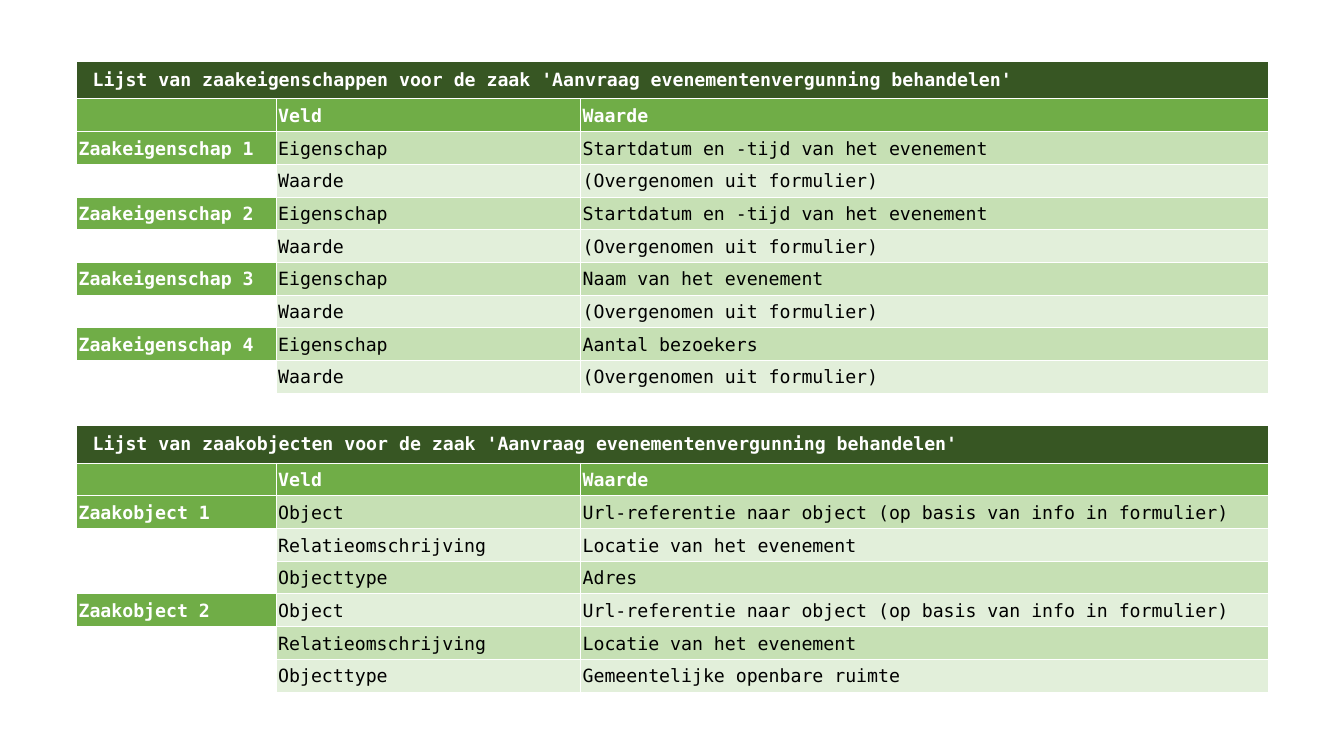
from lxml import etree
from pptx import Presentation
from pptx import util as u
from pptx.dml.color import RGBColor
from pptx.enum import text as t
from pptx.oxml import ns

FONT, SIZE = "DejaVu Sans Mono", 13
WHITE, BLACK = "FFFFFF", "000000"
DARK, GREEN = "375623", "70AD47"
BANDS = ["C6E0B4", "E2EFDA"]
COLS = [1.98, 3.02, 6.82]
LEFT, TOP, HIGH, HEAD = 0.76, 0.61, 6.26, 0.37

COPIED = "(Overgenomen uit formulier)"
CASE = "voor de zaak 'Aanvraag evenementenvergunning behandelen'"
START = "Startdatum en -tijd van het evenement"
FACTS = [START, START, "Naam van het evenement", "Aantal bezoekers"]
URL = "Url-referentie naar object (op basis van info in formulier)"
TYPES = ["Adres", "Gemeentelijke openbare ruimte"]

# Each list: title, label of its items, and the fields of every item
LISTS = [
    (f"Lijst van zaakeigenschappen {CASE}", "Zaakeigenschap",
     [[("Eigenschap", fact), ("Waarde", COPIED)] for fact in FACTS]),
    (f"Lijst van zaakobjecten {CASE}", "Zaakobject",
     [[("Object", URL),
       ("Relatieomschrijving", "Locatie van het evenement"),
       ("Objecttype", kind)] for kind in TYPES]),
]


def color(code):
    return RGBColor.from_string(code)


def add_edges(cell):
    """Give a cell thin white borders."""
    props = cell._tc.get_or_add_tcPr()
    for side in ("L", "R", "T", "B"):
        line = etree.SubElement(props, ns.qn(f"a:ln{side}"), w=str(u.Pt(0.5)))
        fill = etree.SubElement(line, ns.qn("a:solidFill"))
        etree.SubElement(fill, ns.qn("a:srgbClr"), val=WHITE)


def set_cell(cell, words="", fill=None, ink=WHITE, pads=(0.02, 0.02, 0.02, 0)):
    add_edges(cell)
    if fill:
        cell.fill.solid()
        cell.fill.fore_color.rgb = color(fill)
    else:
        cell.fill.background()
    cell.vertical_anchor = t.MSO_ANCHOR.MIDDLE
    (cell.margin_left, cell.margin_top,
     cell.margin_right, cell.margin_bottom) = map(u.Inches, pads)
    para = cell.text_frame.paragraphs[0]
    para.text = words
    for run in para.runs:
        font = run.font
        font.name, font.size = FONT, u.Pt(SIZE)
        font.bold = ink == WHITE
        font.color.rgb = color(ink)
    # Keep empty cells from stretching their row
    para._p.get_or_add_endParaRPr().set("sz", str(SIZE * 100))


def set_title(table, row, words):
    first = table.cell(row, 0)
    first.merge(table.cell(row, len(COLS) - 1))
    set_cell(first, words, DARK, pads=(0.16, 0.08, 0.16, 0.08))
    table.rows[row].height = u.Inches(HEAD)


def set_row(table, row, words, fills, inks):
    for col, look in enumerate(zip(words, fills, inks)):
        set_cell(table.cell(row, col), *look)


def fill_list(table, row, title, label, items):
    """Write one list from the given row on; return the next free row."""
    set_title(table, row, title)
    set_row(table, row + 1, ["", "Veld", "Waarde"], [GREEN] * 3, [WHITE] * 3)
    row += 2
    band = 0
    for num, fields in enumerate(items, 1):
        for pos, (field, value) in enumerate(fields):
            name = "" if pos else f"{label} {num}"
            shade = BANDS[band % 2]
            set_row(table, row, [name, field, value],
                    [None if pos else GREEN, shade, shade],
                    [WHITE, BLACK, BLACK])
            row += 1
            band += 1
    return row


def add_table(slide):
    # Title and header per list, its fields, and a gap between the lists
    count = len(LISTS) - 1 + sum(2 + sum(map(len, it)) for _, _, it in LISTS)
    frame = slide.shapes.add_table(
        count, len(COLS), u.Inches(LEFT), u.Inches(TOP),
        u.Inches(sum(COLS)), u.Inches(HIGH))
    table = frame.table
    table.first_row = table.horz_banding = False
    for col, wide in zip(table.columns, COLS):
        col.width = u.Inches(wide)
    step = (HIGH - HEAD * len(LISTS)) / (count - len(LISTS))
    for line in table.rows:
        line.height = u.Inches(step)
    return table


def main():
    deck = Presentation()
    deck.slide_width, deck.slide_height = u.Inches(13.33), u.Inches(7.5)
    slide = deck.slides.add_slide(deck.slide_layouts[6])
    table = add_table(slide)

    # Both lists, with an empty row between them
    row = 0
    for entry in LISTS:
        if row:
            set_row(table, row, [""] * 3, [None] * 3, [BLACK] * 3)
            row += 1
        row = fill_list(table, row, *entry)

    deck.save("out.pptx")


if __name__ == "__main__":
    main()
